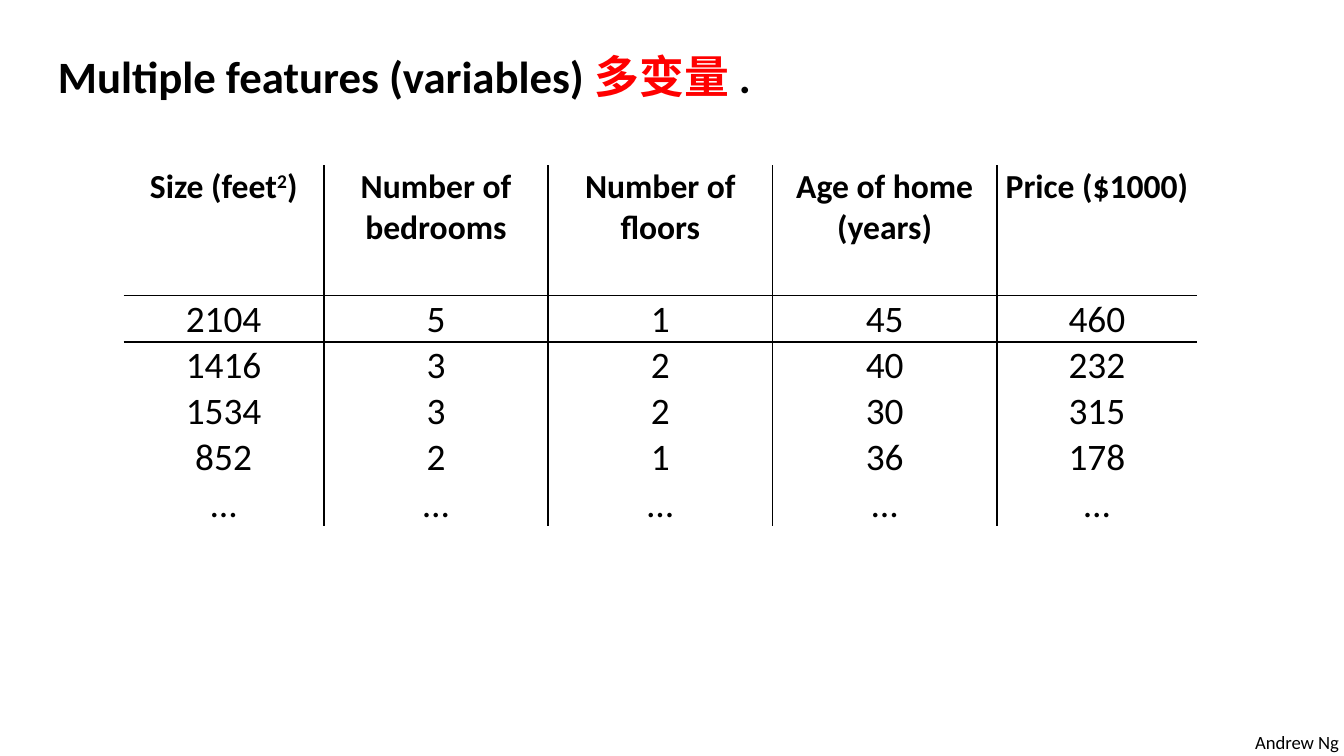
from dataclasses import dataclass

from lxml.etree import SubElement
from pptx import Presentation
from pptx.dml.color import RGBColor
from pptx.enum.text import MSO_ANCHOR, MSO_AUTO_SIZE, PP_ALIGN
from pptx.oxml.ns import qn
from pptx.util import Pt


@dataclass(frozen=True)
class Theme:
    font: str = "Calibri"
    ink: RGBColor = RGBColor(0, 0, 0)
    accent: RGBColor = RGBColor(255, 0, 0)
    paper: RGBColor = RGBColor(255, 255, 255)
    title: int = 24
    header: int = 18
    body: int = 20
    credit: int = 10
    rule: int = 1


THEME = Theme()
FEATURES = [
    "Size (feet²)", "Number of bedrooms", "Number of floors",
    "Age of home (years)", "Price ($1000)",
]
HOUSES = [
    ["2104", "5", "1", "45", "460"],
    ["1416", "3", "2", "40", "232"],
    ["1534", "3", "2", "30", "315"],
    ["852", "2", "1", "36", "178"],
    ["…"] * 5,
]
COLUMN_WIDTHS = [107.3, 120.2, 120.2, 120.2, 107.3]
HEADER_HEIGHT, ROW_HEIGHT = 69.8, 24


def set_all(target, **values):
    for name, value in values.items():
        setattr(target, name, value)


def add_run(paragraph, words, size, color=THEME.ink, bold=False):
    run = paragraph.add_run()
    run.text = words
    set_all(run.font, name=THEME.font, size=Pt(size), bold=bold)
    run.font.color.rgb = color
    return run


def place(part, box):
    left, top, width, height = map(Pt, box)
    set_all(part, left=left, top=top, width=width, height=height)


def add_title(slide, box):
    title = slide.shapes.title
    place(title, box)
    set_all(title.text_frame, word_wrap=True, auto_size=MSO_AUTO_SIZE.NONE,
            vertical_anchor=MSO_ANCHOR.TOP)
    line = title.text_frame.paragraphs[0]
    line.alignment = PP_ALIGN.LEFT
    for words, color in [("Multiple features (variables) ", THEME.ink),
                         ("多变量", THEME.accent), (" .", THEME.ink)]:
        add_run(line, words, THEME.title, color, bold=True)


def rule_cell(cell, ruled_sides):
    """Draw the ruled sides of a cell and clear the others."""
    properties = cell._tc.get_or_add_tcPr()
    for side in "LRTB":
        edge = SubElement(properties, qn(f"a:ln{side}"), w=str(Pt(THEME.rule)))
        if side in ruled_sides:
            fill = SubElement(edge, qn("a:solidFill"))
            SubElement(fill, qn("a:srgbClr"), val=str(THEME.ink))
        else:
            SubElement(edge, qn("a:noFill"))


def fill_cell(cell, words, is_header):
    set_all(cell, margin_left=Pt(0.7), margin_right=Pt(0.7),
            margin_top=Pt(0.7), margin_bottom=0,
            vertical_anchor=MSO_ANCHOR.TOP if is_header else MSO_ANCHOR.BOTTOM)
    cell.fill.solid()
    cell.fill.fore_color.rgb = THEME.paper
    line = cell.text_frame.paragraphs[0]
    line.alignment = PP_ALIGN.CENTER
    size = THEME.header if is_header else THEME.body
    # A squared unit becomes a raised 2
    before, square, after = words.partition("²")
    add_run(line, before, size, bold=is_header)
    if square:
        power = add_run(line, "2", size, bold=is_header)
        power.font._element.set("baseline", "30000")
        add_run(line, after, size, bold=is_header)


def add_housing_table(slide, box):
    rows = [FEATURES, *HOUSES]
    last_column = len(FEATURES) - 1
    housing = slide.shapes.add_table(
        len(rows), len(FEATURES), *map(Pt, box)).table
    set_all(housing, first_row=True, horz_banding=False)
    for column, width in zip(housing.columns, COLUMN_WIDTHS):
        column.width = Pt(width)
    for r, values in enumerate(rows):
        housing.rows[r].height = Pt(ROW_HEIGHT if r else HEADER_HEIGHT)
        for c, words in enumerate(values):
            # Inner verticals everywhere; horizontals around the first house
            sides = ("L" if c > 0 else "") + ("R" if c < last_column else "")
            sides += ("T" if r in (1, 2) else "") + ("B" if r in (0, 1) else "")
            cell = housing.cell(r, c)
            rule_cell(cell, sides)
            fill_cell(cell, words, is_header=r == 0)


def add_credit(slide, box):
    credit = slide.shapes.add_textbox(*map(Pt, box))
    credit.text_frame.word_wrap = False
    add_run(credit.text_frame.paragraphs[0], "Andrew Ng", THEME.credit)


def main():
    deck = Presentation()
    set_all(deck, slide_width=Pt(720), slide_height=Pt(405))
    slide = deck.slides.add_slide(deck.slide_layouts[5])
    add_credit(slide, (665.3, 388, 60.5, 19.4))
    add_housing_table(slide, (66.2, 88.6, sum(COLUMN_WIDTHS),
                              HEADER_HEIGHT + ROW_HEIGHT * len(HOUSES)))
    add_title(slide, (23.8, 22.3, 612, 36))
    deck.save("out.pptx")


if __name__ == "__main__":
    main()
